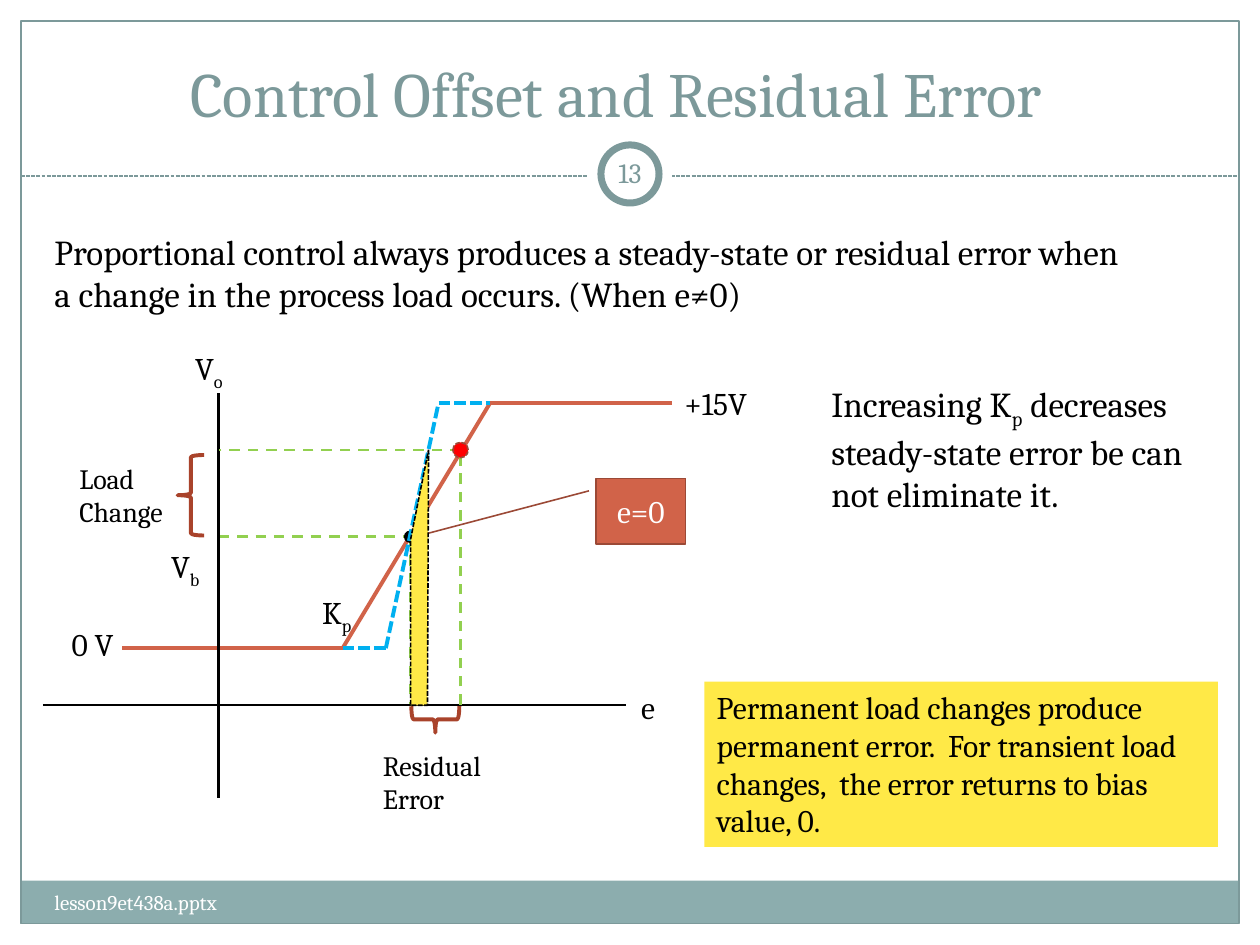
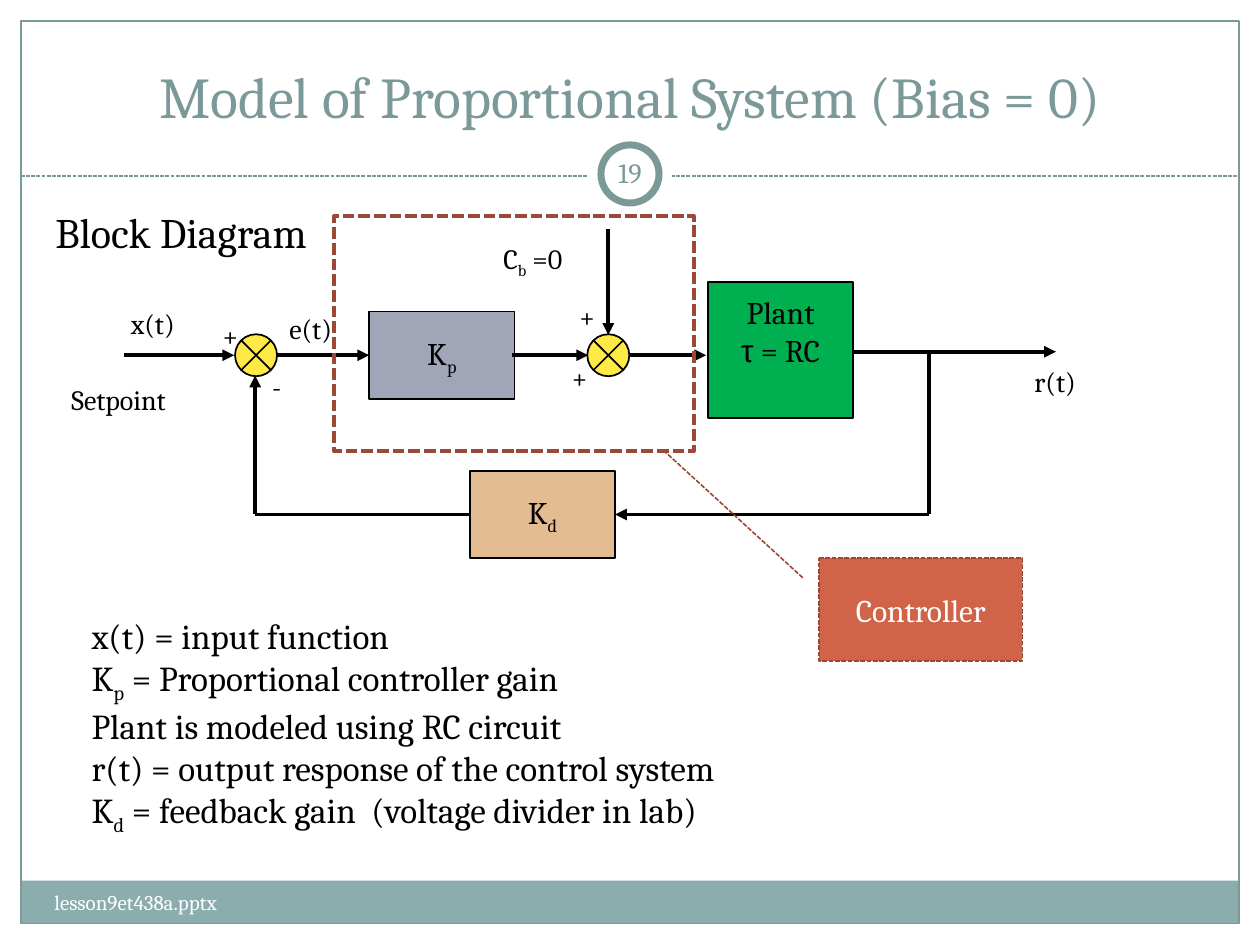
from dataclasses import dataclass
from itertools import groupby, pairwise

from lxml.etree import SubElement
from pptx import Presentation
from pptx.dml.color import RGBColor
from pptx.enum.dml import MSO_LINE
from pptx.enum.shapes import MSO_CONNECTOR, MSO_SHAPE
from pptx.enum.text import MSO_ANCHOR, MSO_AUTO_SIZE, PP_ALIGN
from pptx.oxml.ns import qn
from pptx.util import Pt


@dataclass(frozen=True)
class Theme:
    font: str = "Cambria"
    symbol_font: str = "Arial"
    symbols: str = "τ"
    black: str = "000000"
    white: str = "FFFFFF"
    teal: str = "7C999A"
    band: str = "8CADAE"
    orange: str = "D16349"
    rust: str = "9B4936"
    brace: str = "A9432B"
    yellow: str = "FFE947"
    guide: str = "92D050"
    steep: str = "00B0F0"
    marker: str = "FF0000"
    gain: str = "A0A5B8"
    plant: str = "00B050"
    feedback: str = "E3BC92"
    footer: int = 12
    small: int = 16
    label: int = 18
    body: int = 20
    heading: int = 24
    thin: float = 0.9
    thick: float = 2.25


T = Theme()
DASH, DOTS = MSO_LINE.DASH, MSO_LINE.SQUARE_DOT


# Text: "_" makes the next character a subscript
def split_runs(text):
    for i, part in enumerate(text.split("_")):
        if i:
            yield part[0], True, False
            part = part[1:]
        for symbol, chars in groupby(part, lambda c: c in T.symbols):
            yield "".join(chars), False, symbol


def write(tf, text, size, color=T.black, align=PP_ALIGN.LEFT):
    for i, line in enumerate(text.split("\n")):
        p = tf.add_paragraph() if i else tf.paragraphs[0]
        p.alignment = align
        for part, subscript, symbol in split_runs(line):
            r = p.add_run()
            r.text = part
            r.font.name = T.symbol_font if symbol else T.font
            r.font.size = Pt(size)
            r.font.color.rgb = RGBColor.from_string(color)
            if subscript:
                r._r.get_or_add_rPr().set("baseline", "-25000")


def text_box(s, x, y, w, h, text, size, color=T.black, wrap=False, grow=True,
             align=PP_ALIGN.LEFT, anchor=MSO_ANCHOR.TOP):
    tf = s.shapes.add_textbox(Pt(x), Pt(y), Pt(w), Pt(h)).text_frame
    tf.word_wrap = wrap
    tf.auto_size = MSO_AUTO_SIZE.SHAPE_TO_FIT_TEXT if grow else MSO_AUTO_SIZE.NONE
    tf.vertical_anchor = anchor
    write(tf, text, size, color, align)
    return tf


# Shapes and lines
def paint(sp, fill, line, width, dash):
    sp.shadow.inherit = False
    if fill:
        sp.fill.solid()
        sp.fill.fore_color.rgb = RGBColor.from_string(fill)
    else:
        sp.fill.background()
    if line:
        sp.line.color.rgb = RGBColor.from_string(line)
        sp.line.width = Pt(width)
        if dash:
            sp.line.dash_style = dash
    else:
        sp.line.fill.background()


def shape(s, kind, x, y, w, h, fill=None, line=None, width=1, dash=None):
    sp = s.shapes.add_shape(kind, Pt(x), Pt(y), Pt(w), Pt(h))
    paint(sp, fill, line, width, dash)
    return sp


def block(s, x, y, w, h, text, fill):
    sp = shape(s, MSO_SHAPE.RECTANGLE, x, y, w, h, fill, T.black)
    tf = sp.text_frame
    tf.word_wrap = False
    tf.vertical_anchor = MSO_ANCHOR.MIDDLE
    write(tf, text, T.label, align=PP_ALIGN.CENTER)
    return tf


def callout(s, x, y, w, h, text, adjustments, dash=None):
    sp = shape(s, MSO_SHAPE.LINE_CALLOUT_1, x, y, w, h, T.orange, T.rust, T.thin, dash)
    for i, value in enumerate(adjustments):
        sp.adjustments[i] = value
    sp.text_frame.vertical_anchor = MSO_ANCHOR.MIDDLE
    write(sp.text_frame, text, T.label, T.white, PP_ALIGN.CENTER)


def dot(s, center, size, fill, line=None):
    x, y = center
    shape(s, MSO_SHAPE.OVAL, x - size / 2, y - size / 2, size, size, fill, line, T.thin, DOTS)


def summing_junction(s, x, y):
    size = 24
    shape(s, MSO_SHAPE.FLOWCHART_SUMMING_JUNCTION, x - size / 2, y - size / 2,
          size, size, T.yellow, T.black)


def route(s, points, color=T.black, width=T.thick, dash=None, arrow=False):
    """Straight lines through the points, with an optional arrowhead at the end."""
    for (x1, y1), (x2, y2) in pairwise(points):
        c = s.shapes.add_connector(MSO_CONNECTOR.STRAIGHT, Pt(x1), Pt(y1), Pt(x2), Pt(y2))
        c.line.color.rgb = RGBColor.from_string(color)
        c.line.width = Pt(width)
        if dash:
            c.line.dash_style = dash
        if arrow and (x2, y2) == points[-1]:
            SubElement(c.line._get_or_add_ln(), qn("a:tailEnd"), type="triangle")
        SubElement(c._element.spPr, qn("a:effectLst"))


def area(s, points, fill, line):
    (x, y), *rest = [(Pt(px), Pt(py)) for px, py in points]
    builder = s.shapes.build_freeform(x, y)
    builder.add_line_segments(rest, close=True)
    paint(builder.convert_to_shape(), fill, line, T.thin, DOTS)


# Frame, title, number and footer
def new_slide(prs, title, size, number, title_right=7.2):
    s = prs.slides.add_slide(prs.slide_layouts[6])
    shape(s, MSO_SHAPE.RECTANGLE, 11.7, 503.3, 695.8, 24.5, T.band)
    shape(s, MSO_SHAPE.RECTANGLE, 12, 12, 696, 515.7, line=T.teal, width=0.75)
    route(s, [(12, 100.6), (708, 100.6)], T.teal, 0.75, DOTS)
    shape(s, MSO_SHAPE.OVAL, 336, 75.6, 48, 48, T.white)
    shape(s, MSO_SHAPE.OVAL, 343.4, 82.8, 33.2, 33.2, T.white, T.teal, 4)
    tf = text_box(s, 24, 18, 672, 60, title, size, T.teal, wrap=True, grow=False,
                  align=PP_ALIGN.CENTER, anchor=MSO_ANCHOR.BOTTOM)
    tf.margin_right = Pt(title_right)
    text_box(s, 24, 505, 282, 28.8, "lesson9et438a.pptx", T.footer, T.white,
             wrap=True, grow=False)
    tf = text_box(s, 342, 81.4, 36, 34.6, number, T.small, T.teal, wrap=True, grow=False,
                  align=PP_ALIGN.CENTER, anchor=MSO_ANCHOR.MIDDLE)
    tf.margin_left = tf.margin_right = Pt(3.6)
    return s


def offset_slide(prs):
    s = new_slide(prs, "Control Offset and Residual Error", 36, "13", title_right=23)
    text_box(s, 24, 128.2, 632, 55.4,
             "Proportional control always produces a steady-state or residual error when "
             "a change in the process load occurs. (When e≠0)", T.body, wrap=True)

    # Levels of the graph and its two operating points
    axis_x, axis_y, low, high = 125, 402.8, 370.4, 230.4
    bias, load = (234.3, 306.7), (263.2, 257.2)
    knee_low, knee_high = (195.8, low), (280, high)

    # Guides, response and axes
    route(s, [(axis_x, bias[1]), bias, (bias[0], axis_y)], T.guide, 1.5, DASH)
    route(s, [(70, low), knee_low, knee_high, (384, high)], T.orange)
    dot(s, bias, 7, T.black)
    route(s, [(24.5, axis_y), (358, axis_y)], width=1.5)
    route(s, [(axis_x, 224.6), (axis_x, 456)], width=1.5)
    callout(s, 340.6, 273.4, 51.1, 37.4, "e=0", (0.19, -0.08, 0.89, -2.02))
    route(s, [(load[0], axis_y), load, (axis_x, load[1])], T.guide, 1.5, DASH)
    dot(s, load, 8.8, T.marker, T.rust)

    # Graph labels
    for x, y, w, text in [(359.3, 389.5, 23, "e"), (104.4, 196, 33, "V_o"),
                          (177, 335.5, 34, "K_p"), (384, 216, 56, "+15V"),
                          (33.8, 353.5, 42.5, "0 V"), (90.7, 309, 33, "V_b")]:
        text_box(s, x, y, w, 28.8, text, T.label)

    # Braces
    for x, y, h, angle in [(101.5, 260, 46, 0), (241.2, 397.4, 27.4, 270)]:
        brace = shape(s, MSO_SHAPE.LEFT_BRACE, x, y, 15.1, h, line=T.brace, width=T.thick)
        brace.rotation = angle
    text_box(s, 38.2, 260, 68.4, 46, "Load\nChange", T.small)
    text_box(s, 211.7, 424, 77, 46, "Residual\nError", T.small)

    # Remarks
    note = shape(s, MSO_SHAPE.RECTANGLE, 402.5, 389.6, 293.5, 94.4, T.yellow)
    note.text_frame.word_wrap = True
    note.text_frame.vertical_anchor = MSO_ANCHOR.TOP
    write(note.text_frame, "Permanent load changes produce permanent error.  For transient "
          "load changes,  the error returns to bias value, 0.", T.label)
    text_box(s, 468, 215.3, 236, 80, "Increasing K_p decreases steady-state error be can "
             "not eliminate it.", T.body, wrap=True)

    # Steeper response and its residual error
    route(s, [knee_low, (220.5, low), (250.6, high), knee_high], T.steep, dash=DOTS)
    area(s, [(244.9, 257), (244.3, 403), (234.7, 403), (234.7, 308)], T.yellow, T.black)


def model_slide(prs):
    s = new_slide(prs, "Model of Proportional System (Bias = 0)", 33, "19")
    text_box(s, 24.5, 114.5, 173.5, 36, "Block Diagram", T.heading)

    # Blocks
    forward, output, feedback = 203, 201, 294
    block(s, 211, 178, 83, 50, "K_p", T.gain)
    plant = block(s, 404.6, 161.2, 83, 77.5, "Plant\nτ = RC", T.plant)
    plant.margin_bottom = Pt(25)
    block(s, 268.5, 269, 83, 50, "K_d", T.feedback)

    # Signal paths
    input_x, bias_x, branch_x = 145.8, 347.6, 530.8
    for points in ([(487.5, output), (603.4, output)],
                   [(branch_x, output), (branch_x, feedback), (351.5, feedback)],
                   [(268.5, feedback), (input_x, feedback), (input_x, 214.6)],
                   [(input_x + 12, forward), (211, forward)],
                   [(71, forward), (input_x - 12, forward)],
                   [(292.5, forward), (bias_x - 11.5, forward)],
                   [(bias_x, 131), (bias_x, 191.4)],
                   [(bias_x + 12, forward), (403.5, forward)]):
        route(s, points, arrow=True)
    for x in (input_x + 0.5, bias_x):
        summing_junction(s, x, forward)

    # Signal labels
    for x, y, w, text in [(33.8, 214.8, 75, "Setpoint"), (67.7, 171.4, 40.5, "x(t)"),
                          (584, 205, 39, "r(t)"), (120.2, 178.5, 24.5, "+"),
                          (148.5, 207.5, 20, "-"), (158.2, 174.4, 39.6, "e(t)"),
                          (319.7, 202.3, 24.5, "+"), (324, 167.8, 24.5, "+"),
                          (280.6, 134.4, 54.7, "C_b =0")]:
        text_box(s, x, y, w, 26.6, text, T.small)

    # Legend
    text_box(s, 45.2, 347.8, 403, 128,
             "x(t) = input function\nK_p = Proportional controller gain\n"
             "Plant is modeled using RC circuit\n"
             "r(t) = output response of the control system\n"
             "K_d = feedback gain  (voltage divider in lab)", T.body)

    # Controller outline
    shape(s, MSO_SHAPE.RECTANGLE, 191, 123.5, 205.5, 134.3, line=T.rust, width=T.thick, dash=DOTS)
    callout(s, 468, 319, 116.2, 58.8, "Controller", (0.19, -0.08, -1.04, -0.76), DOTS)


def main():
    prs = Presentation()
    prs.slide_width, prs.slide_height = Pt(720), Pt(540)
    offset_slide(prs)
    model_slide(prs)
    prs.save("out.pptx")


if __name__ == "__main__":
    main()
